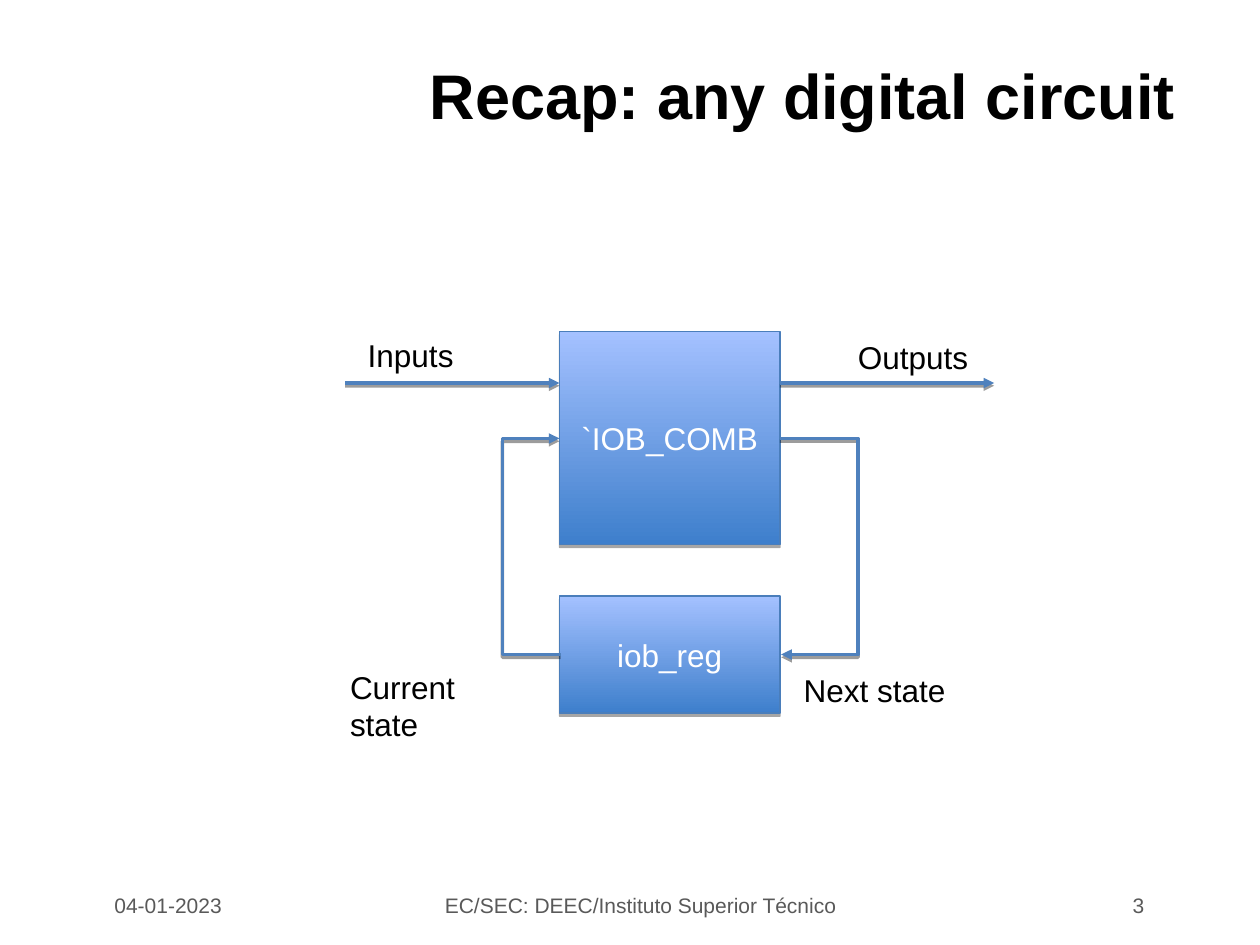
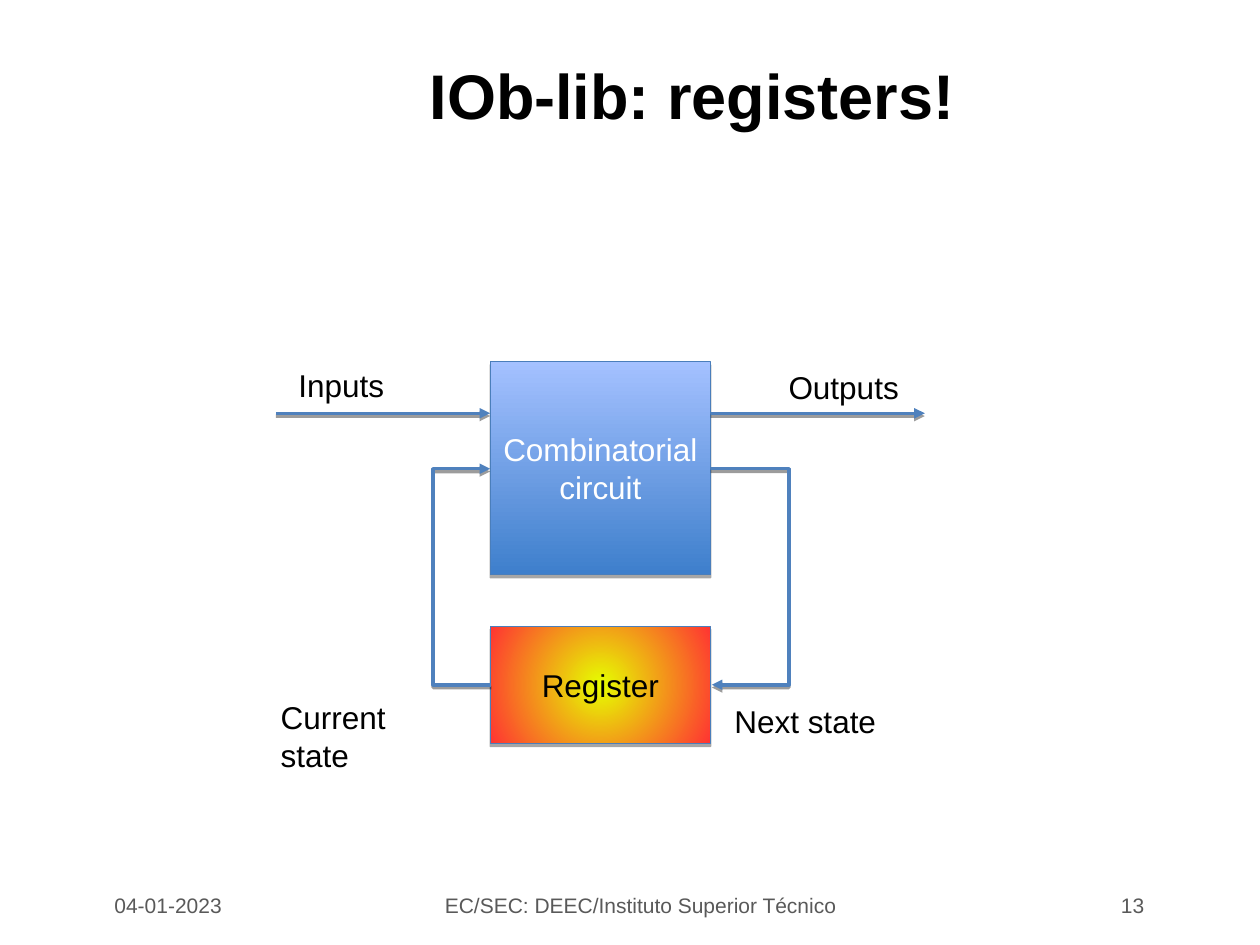
from typing import NamedTuple

import pptx
import pptx.dml.color
import pptx.enum.shapes
import pptx.enum.text
import pptx.oxml
import pptx.oxml.ns
import pptx.util

Inches = pptx.util.Inches
Pt = pptx.util.Pt
qn = pptx.oxml.ns.qn
Align = pptx.enum.text.PP_ALIGN
Anchor = pptx.enum.text.MSO_ANCHOR
Connector = pptx.enum.shapes.MSO_CONNECTOR

FONT = "Arial"
COLORS = {
    "text": "000000",
    "footer": "595959",
    "block_text": "FFFFFF",
    "block_line": "4A7EBB",
    "wire": "4F81BD",
    "blue_dark": "3E7FCC",
    "blue_light": "A4C1FF",
    "yellow": "E6FF00",
    "red": "FF3333",
}
NAMESPACE = pptx.oxml.ns.nsdecls("a")

# Diagram measures in inches, relative to the corner of the combinatorial block
BLOCK_WIDTH = 1.75
LOGIC_HEIGHT = 1.69
REGISTER_HEIGHT = 0.93
REGISTER_TOP = 2.1
SIGNAL_Y = 0.41
STATE_Y = 0.85
REGISTER_Y = REGISTER_TOP + REGISTER_HEIGHT / 2
SIGNAL_LENGTH = 1.7
LOOP_WIDTH = 0.01


class Block(NamedTuple):
    text: str
    text_color: str = "block_text"
    gradient: tuple[str, str] = ("blue_dark", "blue_light")
    radial: bool = False


class Label(NamedTuple):
    text: str
    left: float
    top: float
    width: float


class Footer(NamedTuple):
    left: float
    width: float
    alignment: Align


class CircuitSlide(NamedTuple):
    title: str
    number: str
    left: float
    top: float
    logic: Block
    register: Block


LABELS = (
    Label("Outputs", 2.27, 0, 1.15),
    Label("Next state", 1.84, 2.65, 1.4),
    Label("Inputs", -1.62, -0.01, 0.95),
    Label("Current state", -1.76, 2.62, 1.6),
)
FOOTERS = (
    Footer(0.81, 2.02, Align.LEFT),
    Footer(3.39, 3.39, Align.CENTER),
    Footer(7.18, 2, Align.RIGHT),
)
DATE = "04-01-2023"
COURSE = "EC/SEC: DEEC/Instituto Superior Técnico"

SLIDES = (
    CircuitSlide("Recap: any digital circuit", "3", 4.44, 2.63,
                 Block("`IOB_COMB"), Block("iob_reg")),
    CircuitSlide("IOb-lib: registers!", "13", 3.89, 2.87,
                 Block("Combinatorial circuit"),
                 Block("Register", "text", ("yellow", "red"), radial=True)),
)


def rgb(name: str) -> pptx.dml.color.RGBColor:
    return pptx.dml.color.RGBColor.from_string(COLORS[name])


def write(frame, text: str, size: float, color: str, alignment=Align.LEFT, bold=False) -> None:
    frame.word_wrap = True
    frame.text = text
    paragraph = frame.paragraphs[0]
    paragraph.alignment = alignment
    font = paragraph.font
    font.name, font.size, font.bold = FONT, Pt(size), bold
    font.color.rgb = rgb(color)


def add_shadow(shape, distance: float, opacity: int) -> None:
    """Give the shape a sharp black shadow straight below it."""
    shape.element.spPr.append(pptx.oxml.parse_xml(
        f'<a:effectLst {NAMESPACE}><a:outerShdw blurRad="0" dist="{Pt(distance)}" '
        f'dir="5400000" rotWithShape="0"><a:srgbClr val="000000">'
        f'<a:alpha val="{opacity * 1000}"/></a:srgbClr></a:outerShdw></a:effectLst>'))


def add_text_frame(slide, left: float, top: float, width: float, height: float):
    return slide.shapes.add_textbox(
        Inches(left), Inches(top), Inches(width), Inches(height)).text_frame


def add_title(slide, text: str) -> None:
    title = slide.shapes.title
    title.left, title.top = Inches(3.08), Inches(0.45)
    title.width, title.height = Inches(6.92), Inches(0.95)
    frame = title.text_frame
    frame.vertical_anchor = Anchor.TOP
    frame.margin_left = Inches(0.33)
    frame.margin_top = frame.margin_right = frame.margin_bottom = 0
    write(frame, text, 36, "text", bold=True)


def add_footers(slide, number: str) -> None:
    for footer, text in zip(FOOTERS, (DATE, COURSE, number)):
        frame = add_text_frame(slide, footer.left, 7.01, footer.width, 0.34)
        frame.vertical_anchor = Anchor.MIDDLE
        write(frame, text, 12, "footer", footer.alignment)


def add_block(slide, block: Block, left: float, top: float, height: float) -> None:
    shape = slide.shapes.add_shape(
        pptx.enum.shapes.MSO_SHAPE.RECTANGLE,
        Inches(left), Inches(top), Inches(BLOCK_WIDTH), Inches(height))
    shape.fill.gradient()
    shape.fill.gradient_angle = 90
    for stop, color, position in zip(shape.fill.gradient_stops, block.gradient, (0, 1)):
        stop.color.rgb = rgb(color)
        stop.position = position
    if block.radial:
        gradient = shape.element.spPr.find(qn("a:gradFill"))
        gradient.replace(gradient.find(qn("a:lin")), pptx.oxml.parse_xml(
            f'<a:path {NAMESPACE} path="circle">'
            '<a:fillToRect l="50000" t="50000" r="50000" b="50000"/></a:path>'))
    shape.line.color.rgb = rgb("block_line")
    shape.line.width = Pt(0.75)
    add_shadow(shape, 1.8, 35)
    shape.text_frame.vertical_anchor = Anchor.MIDDLE
    write(shape.text_frame, block.text, 18, block.text_color, Align.CENTER)


def add_wire(slide, kind: Connector, left: float, top: float, right: float, bottom: float):
    wire = slide.shapes.add_connector(
        kind, Inches(left), Inches(top), Inches(right), Inches(bottom))
    wire.line.color.rgb = rgb("wire")
    wire.line.width = Pt(2)
    wire.element.spPr.find(qn("a:ln")).append(
        pptx.oxml.parse_xml(f'<a:tailEnd {NAMESPACE} type="triangle"/>'))
    add_shadow(wire, 1.6, 38)
    return wire


def add_loop(slide, left: float, top: float, bottom: float, reach: float, turned=False) -> None:
    """Draw a bracket that bulges by reach; turned runs it upwards on the left."""
    wire = add_wire(slide, Connector.ELBOW, left, top, left + LOOP_WIDTH, bottom)
    properties = wire.element.spPr
    bend = round(reach / LOOP_WIDTH * 100000)
    properties.find(qn("a:prstGeom")).find(qn("a:avLst")).append(
        pptx.oxml.parse_xml(f'<a:gd {NAMESPACE} name="adj1" fmla="val {bend}"/>'))
    if turned:
        properties.find(qn("a:xfrm")).set("rot", "10800000")


def add_circuit(slide, circuit: CircuitSlide) -> None:
    left, top = circuit.left, circuit.top
    right = left + BLOCK_WIDTH
    add_block(slide, circuit.logic, left, top, LOGIC_HEIGHT)
    add_block(slide, circuit.register, left, top + REGISTER_TOP, REGISTER_HEIGHT)

    signal_y = top + SIGNAL_Y
    for start in (left - SIGNAL_LENGTH, right):
        add_wire(slide, Connector.STRAIGHT, start, signal_y, start + SIGNAL_LENGTH, signal_y)
    add_loop(slide, right, top + STATE_Y, top + REGISTER_Y, 0.63)
    add_loop(slide, left, top + STATE_Y, top + REGISTER_Y, 0.47, turned=True)

    for label in LABELS:
        frame = add_text_frame(slide, left + label.left, top + label.top, label.width, 0.4)
        write(frame, label.text, 18, "text")


def main() -> None:
    presentation = pptx.Presentation()
    presentation.slide_width, presentation.slide_height = Inches(10), Inches(7.5)
    title_only = presentation.slide_layouts[5]
    for circuit in SLIDES:
        slide = presentation.slides.add_slide(title_only)
        add_title(slide, circuit.title)
        add_footers(slide, circuit.number)
        add_circuit(slide, circuit)
    presentation.save("out.pptx")


if __name__ == "__main__":
    main()
